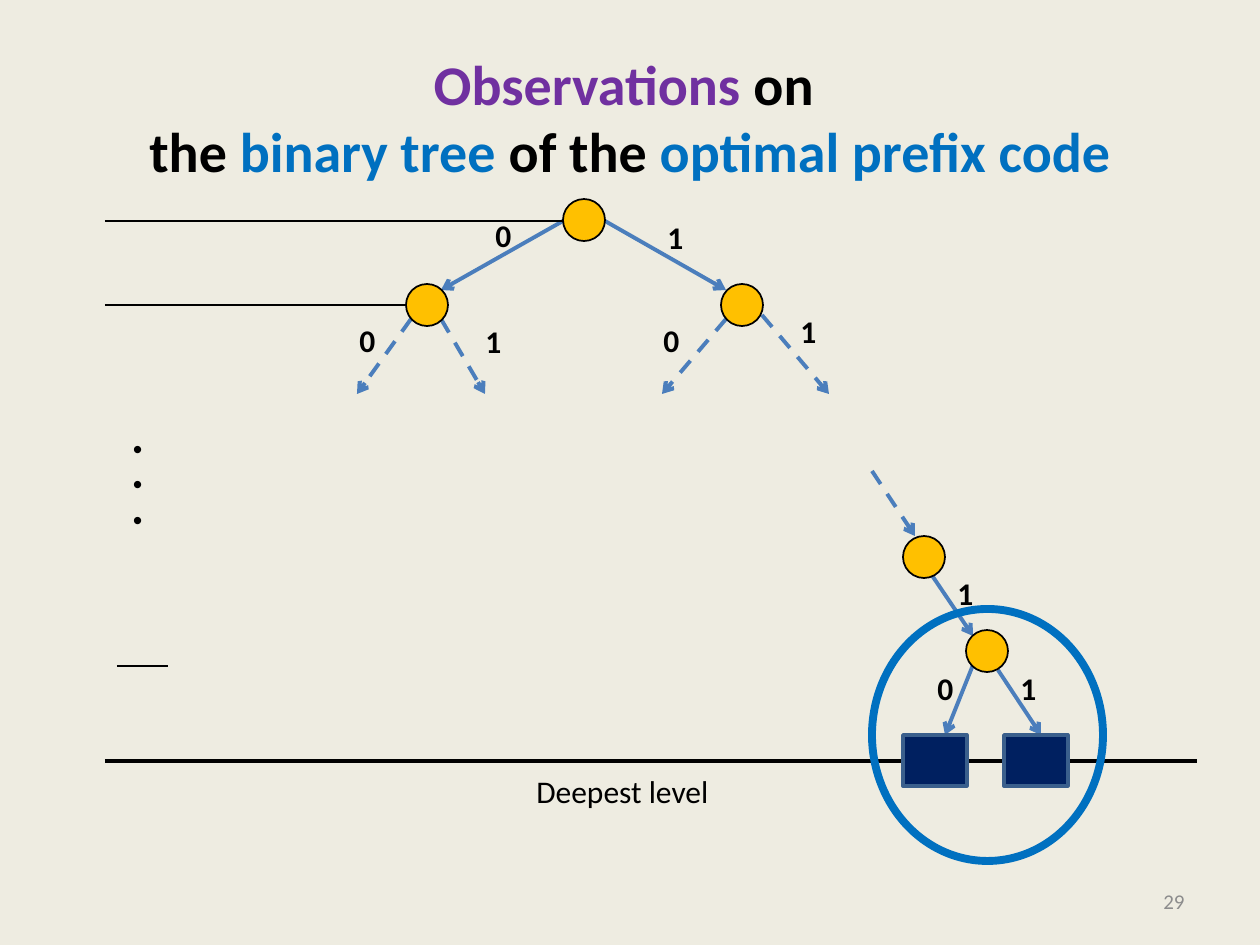
from lxml import etree
from pptx import Presentation
from pptx.dml.color import RGBColor
from pptx.enum.dml import MSO_LINE
from pptx.enum.shapes import MSO_CONNECTOR, MSO_SHAPE
from pptx.enum.text import MSO_ANCHOR, MSO_AUTO_SIZE, PP_ALIGN
from pptx.oxml.ns import qn
from pptx.util import Pt

OVAL, RECT = MSO_SHAPE.OVAL, MSO_SHAPE.RECTANGLE
LINE, DASH = MSO_CONNECTOR.STRAIGHT, MSO_LINE.DASH
MID, TOP = MSO_ANCHOR.MIDDLE, MSO_ANCHOR.TOP
LEFT, MEAN, RIGHT = PP_ALIGN.LEFT, PP_ALIGN.CENTER, PP_ALIGN.RIGHT
FIT, FIXED = MSO_AUTO_SIZE.SHAPE_TO_FIT_TEXT, MSO_AUTO_SIZE.NONE
SCALE = 914400 / 126
FONT = "Calibri"
HUES = {
    "back": "EEECE1", "ink": "000000", "edge": "4B7EBC", "node": "FFC000",
    "leaf": "002060", "rim": "3A5F8C", "blue": "0070C0",
    "plum": "7030A0", "gray": "8C8C8C",
}

TITLE = [
    [("Observations", "plum"), (" on ", "ink")],
    [("the ", "ink"), ("binary tree ", "blue"), ("of the ", "ink"),
     ("optimal prefix code", "blue")],
]
EDGES = [
    (563, 221, 441, 290), (605, 221, 726, 290),
    (973, 665, 945, 735), (929, 571, 973, 636), (998, 670, 1041, 735),
]
STUBS = [
    (726, 319, 662, 394), (411, 319, 357, 394), (441, 319, 485, 394),
    (762, 315, 829, 394), (872, 471, 915, 536),
]
NODES = [(406, 284), (721, 284), (563, 199), (966, 630), (903, 536)]
LEAVES = [(903, 735), (1004, 735)]
BITS = {
    "0": [(483, 210), (347, 315), (651, 315), (925, 663)],
    "1": [(655, 212), (473, 316), (788, 306), (945, 568), (1008, 663)],
}
RULES = [(105, 221, 563), (105, 305, 406), (117, 666, 168)]


def px(*vals):
    return [round(v * SCALE) for v in vals]


def tint(hue):
    return RGBColor.from_string(HUES[hue])


def add_run(para, text, size, hue, bold=False):
    run = para.add_run()
    run.text = text
    font = run.font
    font.name, font.size, font.bold = FONT, Pt(size), bold
    font.color.rgb = tint(hue)
    return run


def add_text(slide, box, text, size, hue, bold=False, align=LEFT, grow=True):
    item = slide.shapes.add_textbox(*px(*box))
    frame = item.text_frame
    frame.word_wrap = not grow
    frame.auto_size = FIT if grow else FIXED
    frame.vertical_anchor = TOP if grow else MID
    para = frame.paragraphs[0]
    para.alignment = align
    return item, add_run(para, text, size, hue, bold)


def add_line(slide, ends, hue, width, dash=False, arrow=False):
    item = slide.shapes.add_connector(LINE, *px(*ends))
    item.line.color.rgb = tint(hue)
    item.line.width = Pt(width)
    if dash:
        item.line.dash_style = DASH
    if arrow:
        stroke = item.line._get_or_add_ln()
        etree.SubElement(stroke, qn("a:tailEnd"), type="arrow")
    etree.SubElement(item._element.spPr, qn("a:effectLst"))


def add_form(slide, kind, box, fill, hue, width):
    item = slide.shapes.add_shape(kind, *px(*box))
    item.shadow.inherit = False
    if fill:
        item.fill.solid()
        item.fill.fore_color.rgb = tint(fill)
    else:
        item.fill.background()
    item.line.color.rgb = tint(hue)
    item.line.width = Pt(width)


def set_title(slide):
    title = slide.shapes.title
    title.left, title.top, title.width, title.height = px(63, 38, 1134, 158)
    frame = title.text_frame
    frame.vertical_anchor = MID
    para = frame.paragraphs[0]
    para.alignment = MEAN
    for row, parts in enumerate(TITLE):
        if row:
            para.add_line_break()
        for text, hue in parts:
            add_run(para, text, 32, hue, True)


def add_dots(slide):
    item, run = add_text(slide, (98, 451, 111, 72), ". . .", 28, "ink", True)
    item.rotation = 90
    run.font._element.set("spc", "315")


def add_tree(slide):
    for ends in EDGES:
        add_line(slide, ends, "edge", 2.25, arrow=True)
    for ends in STUBS:
        add_line(slide, ends, "edge", 2.25, dash=True, arrow=True)
    for x, y in NODES:
        add_form(slide, OVAL, (x, y, 42, 42), "node", "ink", 1)
    for x, y in LEAVES:
        add_form(slide, RECT, (x, y, 64, 51), "leaf", "rim", 2)
    for bit, spots in BITS.items():
        for x, y in spots:
            add_text(slide, (x, y, 42, 51), bit, 18, "ink", True)


def main():
    deck = Presentation()
    deck.slide_width, deck.slide_height = px(1260, 945)
    slide = deck.slides.add_slide(deck.slide_layouts[5])
    slide.background.fill.solid()
    slide.background.fill.fore_color.rgb = tint("back")
    add_line(slide, (105, 761, 1197, 761), "ink", 2.25)
    set_title(slide)
    add_text(slide, (903, 876, 294, 50), "29", 12, "gray",
             align=RIGHT, grow=False)
    add_tree(slide)
    add_dots(slide)
    for x, y, end in RULES:
        add_line(slide, (x, y, end, y), "ink", 0.75)
    add_text(slide, (524, 766, 200, 51), "Deepest level", 18, "ink")
    add_form(slide, OVAL, (872, 609, 231, 252), None, "blue", 4.5)
    deck.save("out.pptx")


if __name__ == "__main__":
    main()
